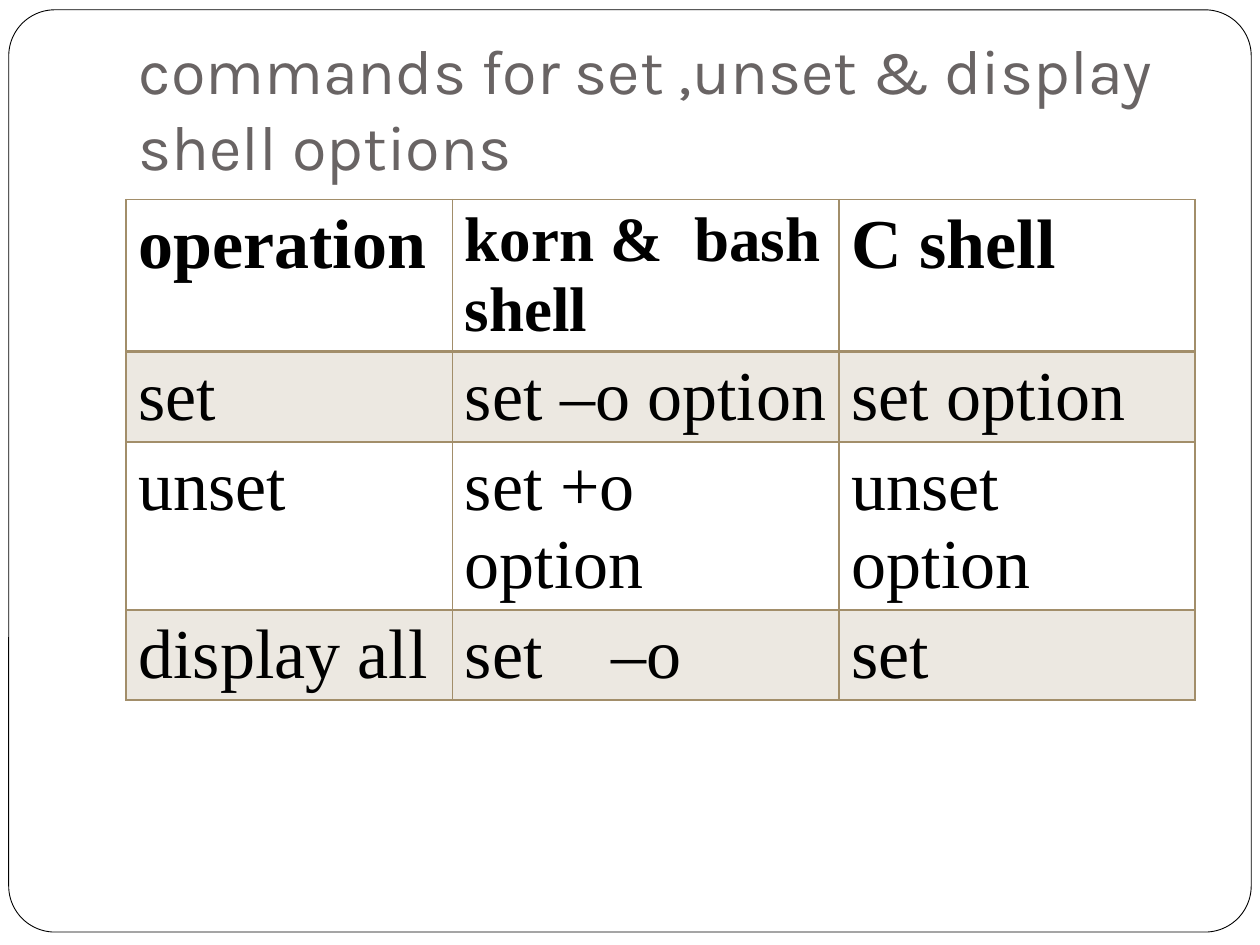
from dataclasses import dataclass
from lxml.etree import SubElement as sub_element
from pptx import Presentation
from pptx.dml.color import RGBColor as Color
from pptx.enum.shapes import MSO_SHAPE as Preset
from pptx.enum.text import MSO_ANCHOR as Anchor, PP_ALIGN as Align
from pptx.oxml import parse_xml
from pptx.oxml.ns import nsdecls, qn
from pptx.util import Pt


@dataclass(frozen=True)
class Theme:
    paper: str = "FFFFFF"
    ink: str = "000000"
    heading: str = "696464"
    accent: str = "A28E6A"
    heading_font: str = "Karla"
    table_font: str = "Times New Roman"
    title_size: int = 36
    cell_size: int = 40
    tight_size: int = 36
    band_alpha: int = 20


THEME = Theme()

COLUMNS = (186.5, 221, 203.5)
ROWS = (87, 51.4, 96, 51.4)
CELLS = (
    ("operation", "korn &\tbash shell", "C shell"),
    ("set", "set –o option", "set option"),
    ("unset", "set +o option", "unset option"),
    ("display all", "set\t–o", "set"),
)
# Tab stops, in points from the left of the text, by row and column
TAB_STOPS = {(0, 1): 131, (3, 1): 84}


def points(box):
    return [Pt(length) for length in box]


def apply_format(target, values):
    for name, value in values.items():
        setattr(target, name, value)


def format_font(font, color, **values):
    apply_format(font, values)
    font.color.rgb = Color.from_string(color)


def add_frame(page, box):
    """Rounded outline behind everything else."""
    frame = page.shapes.add_shape(Preset.ROUNDED_RECTANGLE, *points(box))
    frame.adjustments[0] = 0.05
    frame.shadow.inherit = False
    frame.fill.solid()
    frame.fill.fore_color.rgb = Color.from_string(THEME.paper)
    frame.line.color.rgb = Color.from_string(THEME.ink)
    frame.line.width = Pt(0.5)
    page.shapes.title.element.addprevious(frame.element)


def place_title(page, box, text):
    """Title placeholder, set at the bottom of its box."""
    title = page.shapes.title
    apply_format(title, dict(zip(("left", "top", "width", "height"), points(box))))
    text_frame = title.text_frame
    text_frame.text = text
    apply_format(text_frame, {
        "word_wrap": True, "vertical_anchor": Anchor.BOTTOM,
        "margin_left": Pt(7.2), "margin_right": Pt(7.2),
        "margin_top": Pt(3.6), "margin_bottom": Pt(7.2),
    })
    para = text_frame.paragraphs[0]
    para.alignment = Align.LEFT
    format_font(para.runs[0].font, THEME.heading,
                name=THEME.heading_font, size=Pt(THEME.title_size))


def fill_cell(cell, banded):
    if not banded:
        cell.fill.background()
        return
    cell.fill.solid()
    cell.fill.fore_color.rgb = Color.from_string(THEME.accent)
    color = next(cell._tc.tcPr.iter(qn("a:srgbClr")))
    sub_element(color, qn("a:alpha"), val=str(THEME.band_alpha * 1000))


def set_borders(cell, widths):
    """Edges come before the fill, in the order left, right, top, bottom."""
    for place, (edge, width) in enumerate(widths.items()):
        line = parse_xml(
            f'<a:ln{edge} {nsdecls("a")} w="{int(Pt(width))}"><a:solidFill>'
            f'<a:srgbClr val="{THEME.accent}"/></a:solidFill></a:ln{edge}>')
        cell._tc.get_or_add_tcPr().insert(place, line)


def write_cell(cell, text, size, bold, tab_stop):
    cell.text = text
    para = cell.text_frame.paragraphs[0]
    para.alignment = Align.LEFT
    for span in para.runs:
        format_font(span.font, THEME.ink, name=THEME.table_font,
                    size=Pt(size), bold=bold)
    if tab_stop:
        tabs = sub_element(para._p.get_or_add_pPr(), qn("a:tabLst"))
        sub_element(tabs, qn("a:tab"), pos=str(int(Pt(tab_stop))), algn="l")


def add_command_table(page, left, top):
    """Header row over rows that alternate tinted and clear."""
    box = (left, top, sum(COLUMNS), sum(ROWS))
    table = page.shapes.add_table(len(ROWS), len(COLUMNS), *points(box)).table
    apply_format(table, {"first_row": False, "horz_banding": False})
    for column, width in zip(table.columns, COLUMNS):
        column.width = Pt(width)
    for row_index, (row, height) in enumerate(zip(table.rows, ROWS)):
        row.height = Pt(height)
        header = row_index == 0
        top_width = 2 if row_index == 1 else 1
        for column_index, cell in enumerate(row.cells):
            key = (row_index, column_index)
            size = THEME.tight_size if key == (0, 1) else THEME.cell_size
            write_cell(cell, CELLS[row_index][column_index], size, header,
                       TAB_STOPS.get(key))
            fill_cell(cell, banded=row_index % 2 == 1)
            set_borders(cell, {"L": 1, "R": 1, "T": top_width,
                               "B": 2 if header else 1})


def build_options_page(deck):
    page = deck.slides.add_slide(deck.slide_layouts[5])
    add_frame(page, (5, 5.6, 710, 527))
    place_title(page, (72, 21.6, 612, 90),
                "commands for set ,unset & display shell options")
    add_command_table(page, 72, 114)


deck = Presentation()
apply_format(deck, {"slide_width": Pt(720), "slide_height": Pt(540)})
build_options_page(deck)
deck.save("out.pptx")
